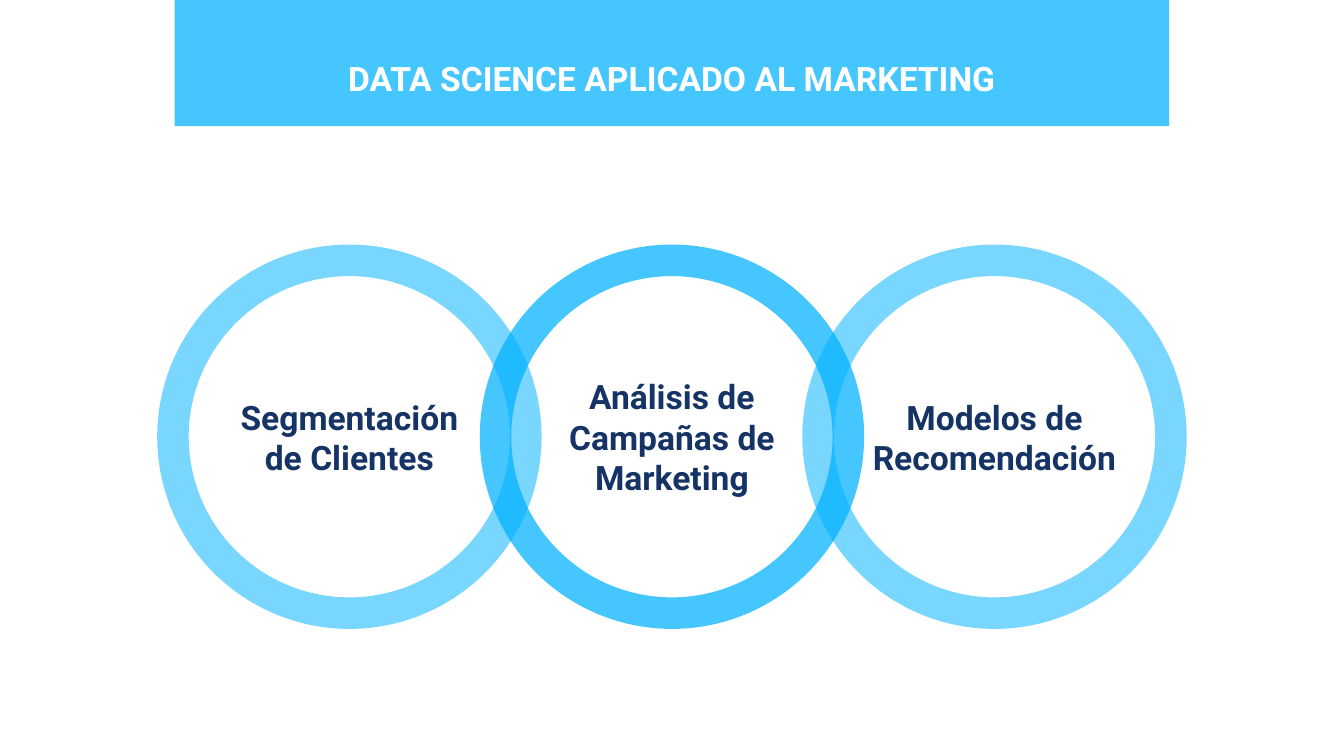
from dataclasses import dataclass

from lxml import etree
from pptx import Presentation
from pptx.dml.color import RGBColor
from pptx.enum.shapes import MSO_SHAPE as Shape
from pptx.enum.text import MSO_ANCHOR as Anchor, PP_ALIGN as Align
from pptx.oxml.ns import qn
from pptx.util import Inches, Pt


@dataclass(frozen=True)
class Theme:
    blue: str = "00B2FF"
    navy: str = "153465"
    white: str = "FFFFFF"
    font: str = "Roboto"
    size: int = 18
    strong: int = 73
    soft: int = 53


@dataclass(frozen=True)
class Ring:
    column: int
    label: str
    opacity: int


THEME = Theme()
SLIDE_WIDTH = 10
SLIDE_HEIGHT = SLIDE_WIDTH * 9 / 16
RING_LEFT, RING_TOP, RING_SIZE, RING_STEP = 1.17, 1.82, 2.86, 2.4
RINGS = [
    Ring(1, "Análisis de Campañas de Marketing", THEME.strong),
    Ring(2, "Modelos de Recomendación", THEME.soft),
    Ring(0, "Segmentación de Clientes", THEME.soft),
]


def write_text(sp, text: str, *, color: str, anchor=Anchor.TOP) -> None:
    tf = sp.text_frame
    tf.word_wrap = True
    tf.vertical_anchor = anchor
    tf.margin_left = tf.margin_right = Inches(0.1)
    tf.margin_top = tf.margin_bottom = Inches(0.1)
    p = tf.paragraphs[0]
    p.alignment = Align.CENTER
    r = p.add_run()
    r.text = text
    r.font.name = THEME.font
    r.font.size = Pt(THEME.size)
    r.font.bold = True
    r.font.color.rgb = RGBColor.from_string(color)


def add_tinted(s, kind, x: float, y: float, w: float, h: float, opacity: int):
    sp = s.shapes.add_shape(kind, Inches(x), Inches(y), Inches(w), Inches(h))
    sp.shadow.inherit = False
    sp.line.fill.background()
    sp.fill.solid()
    sp.fill.fore_color.rgb = RGBColor.from_string(THEME.blue)
    color = sp.element.spPr.find(qn("a:solidFill"))[0]
    etree.SubElement(color, qn("a:alpha"), val=str(opacity * 1000))
    return sp


def add_header(s, title: str) -> None:
    add_tinted(s, Shape.RECTANGLE, 1.3, 0, 7.4, 0.94, THEME.strong)
    box = s.shapes.add_textbox(Inches(1.3), Inches(0.33), Inches(7.4), Inches(0.55))
    write_text(box, title, color=THEME.white)


def add_ring(s, ring: Ring) -> None:
    x = RING_LEFT + ring.column * RING_STEP
    sp = add_tinted(s, Shape.DONUT, x, RING_TOP, RING_SIZE, RING_SIZE, ring.opacity)
    sp.adjustments[0] = 0.082
    write_text(sp, ring.label, color=THEME.navy, anchor=Anchor.MIDDLE)


def main() -> None:
    prs = Presentation()
    prs.slide_width, prs.slide_height = Inches(SLIDE_WIDTH), Inches(SLIDE_HEIGHT)
    s = prs.slides.add_slide(prs.slide_layouts[6])
    s.background.fill.solid()
    s.background.fill.fore_color.rgb = RGBColor.from_string(THEME.white)
    add_header(s, "DATA SCIENCE APLICADO AL MARKETING")
    for ring in RINGS:
        add_ring(s, ring)
    prs.save("out.pptx")


if __name__ == "__main__":
    main()
